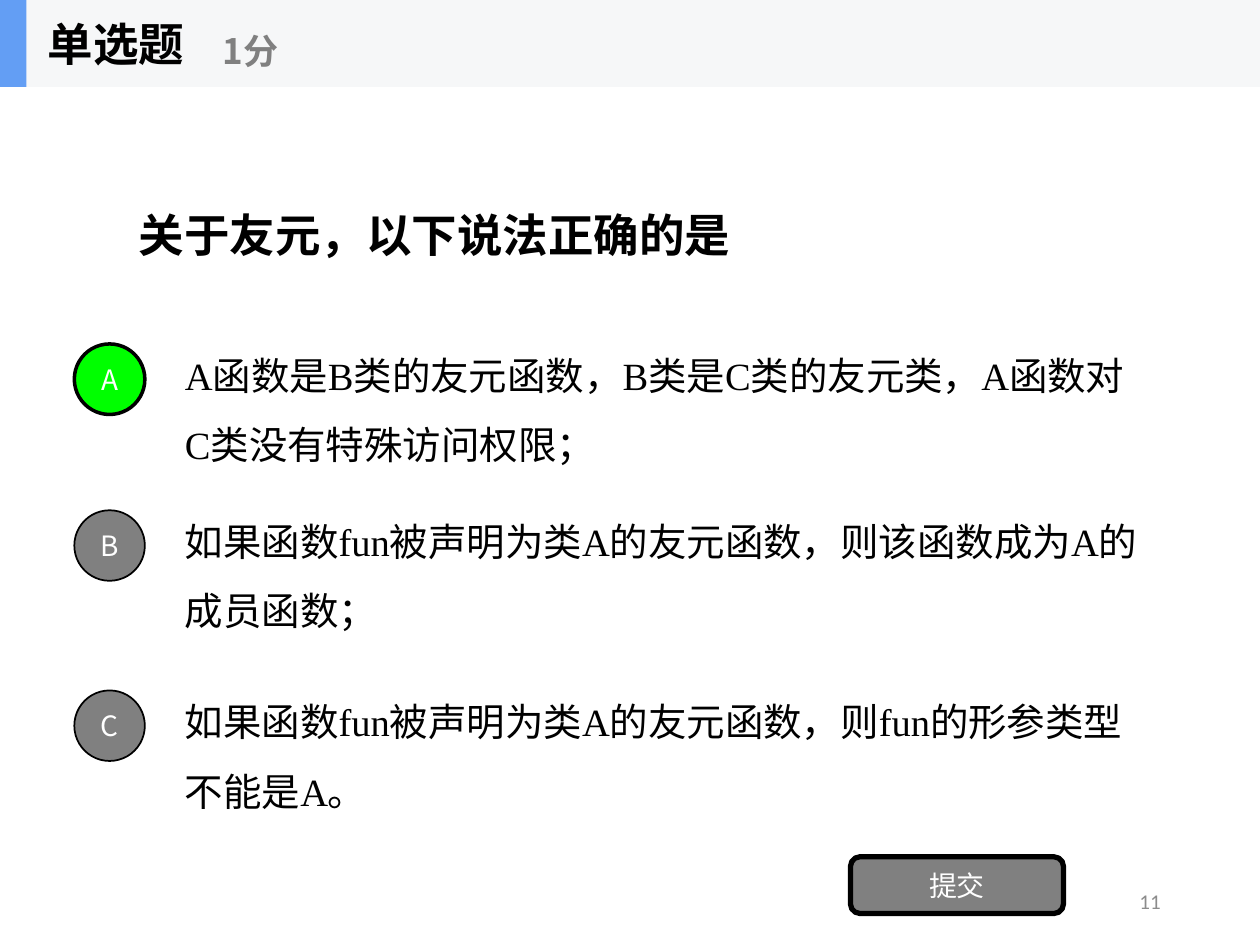
from pptx import Presentation
from pptx.dml.color import RGBColor
from pptx.enum.shapes import MSO_SHAPE
from pptx.enum.text import MSO_ANCHOR, PP_ALIGN
from pptx.util import Inches, Pt

RECTANGLE, ROUNDED, OVAL = MSO_SHAPE.RECTANGLE, MSO_SHAPE.ROUNDED_RECTANGLE, MSO_SHAPE.OVAL
LEFT, CENTER, RIGHT = PP_ALIGN.LEFT, PP_ALIGN.CENTER, PP_ALIGN.RIGHT
SANS, SERIF, NUMBER_FONT = "Noto Sans CJK SC", "Times New Roman", "Calibri"
COLORS = {"black": "000000", "white": "FFFFFF", "gray": "808080", "number": "8C8C8C",
          "correct": "00FF00", "band": "F6F7F8", "accent": "639EF4"}

# Content
QUESTION = "关于友元，以下说法正确的是"
HEADINGS = [("单选题", 26, "black", (0.28, 0, 2.08, 0.69)),
            ("1分", 20, "gray", (1.67, 0.12, 2.5, 0.56))]
OPTIONS = [  # letter, lines, top of circle, fill, outline width
    ("A", ["A函数是B类的友元函数，B类是C类的友元类，A函数对", "C类没有特殊访问权限；"], 2.73, "correct", 2),
    ("B", ["如果函数fun被声明为类A的友元函数，则该函数成为A的", "成员函数；"], 4.05, "gray", 1),
    ("C", ["如果函数fun被声明为类A的友元函数，则fun的形参类型", "不能是A。"], 5.48, "gray", 1),
]
SUBMIT, PAGE_NUMBER = "提交", "11"

# Layout, in inches
WIDTH, HEIGHT = 10, 7.5
HEADER_HEIGHT, ACCENT_WIDTH = 0.69, 0.21
CIRCLE_LEFT, CIRCLE_SIZE = 0.59, 0.56
OPTION_LEFT, OPTION_WIDTH, OPTION_HEIGHT, OPTION_DROP = 1.37, 8.4, 0.7, 0.08


def color(name):
    return RGBColor.from_string(COLORS[name])


def write(shape, lines, size, font, ink, align=LEFT, bold=False, spacing=None, wrap=True):
    frame = shape.text_frame
    frame.text = "\n".join(lines)
    frame.word_wrap = wrap
    frame.vertical_anchor = MSO_ANCHOR.MIDDLE
    for paragraph in frame.paragraphs:
        paragraph.alignment = align
        if spacing:
            paragraph.line_spacing = spacing
        paragraph.font.size = Pt(size)
        paragraph.font.name = font
        paragraph.font.bold = bold
        paragraph.font.color.rgb = color(ink)


def add_text(slide, box, lines, *style, **options):
    write(slide.shapes.add_textbox(*map(Inches, box)), lines, *style, **options)


def add_block(slide, kind, box, fill, outline=0, label=None):
    shape = slide.shapes.add_shape(kind, *map(Inches, box))
    shape.shadow.inherit = False
    shape.fill.solid()
    shape.fill.fore_color.rgb = color(fill)
    if outline:
        shape.line.color.rgb = color("black")
        shape.line.width = Pt(outline)
    else:
        shape.line.fill.background()
    if label:
        write(shape, [label], 16, SANS, "white", CENTER)


def main():
    presentation = Presentation()
    presentation.slide_width, presentation.slide_height = Inches(WIDTH), Inches(HEIGHT)
    slide = presentation.slides.add_slide(presentation.slide_layouts[5])

    # Page number and question
    add_text(slide, (7.06, 6.95, 2.25, 0.4), [PAGE_NUMBER], 12, NUMBER_FONT, "number", RIGHT)
    title = slide.shapes.title
    title.left, title.top, title.width, title.height = map(Inches, (1, HEADER_HEIGHT, 8, 2.34))
    write(title, [QUESTION], 26, SANS, "black", bold=True)

    # Answer options
    for letter, lines, top, fill, outline in OPTIONS:
        add_text(slide, (OPTION_LEFT, top + OPTION_DROP, OPTION_WIDTH, OPTION_HEIGHT), lines,
                 22, SERIF, "black", spacing=1.5)
        add_block(slide, OVAL, (CIRCLE_LEFT, top, CIRCLE_SIZE, CIRCLE_SIZE), fill, outline, letter)

    # Submit button
    add_block(slide, ROUNDED, (6.75, 6.8, 1.69, 0.45), "gray", 3, SUBMIT)

    # Header band
    add_block(slide, RECTANGLE, (0, 0, WIDTH, HEADER_HEIGHT), "band")
    add_block(slide, RECTANGLE, (0, 0, ACCENT_WIDTH, HEADER_HEIGHT), "accent")
    for text, size, ink, box in HEADINGS:
        add_text(slide, box, [text], size, SANS, ink, bold=True, wrap=False)

    presentation.save("out.pptx")


if __name__ == "__main__":
    main()
